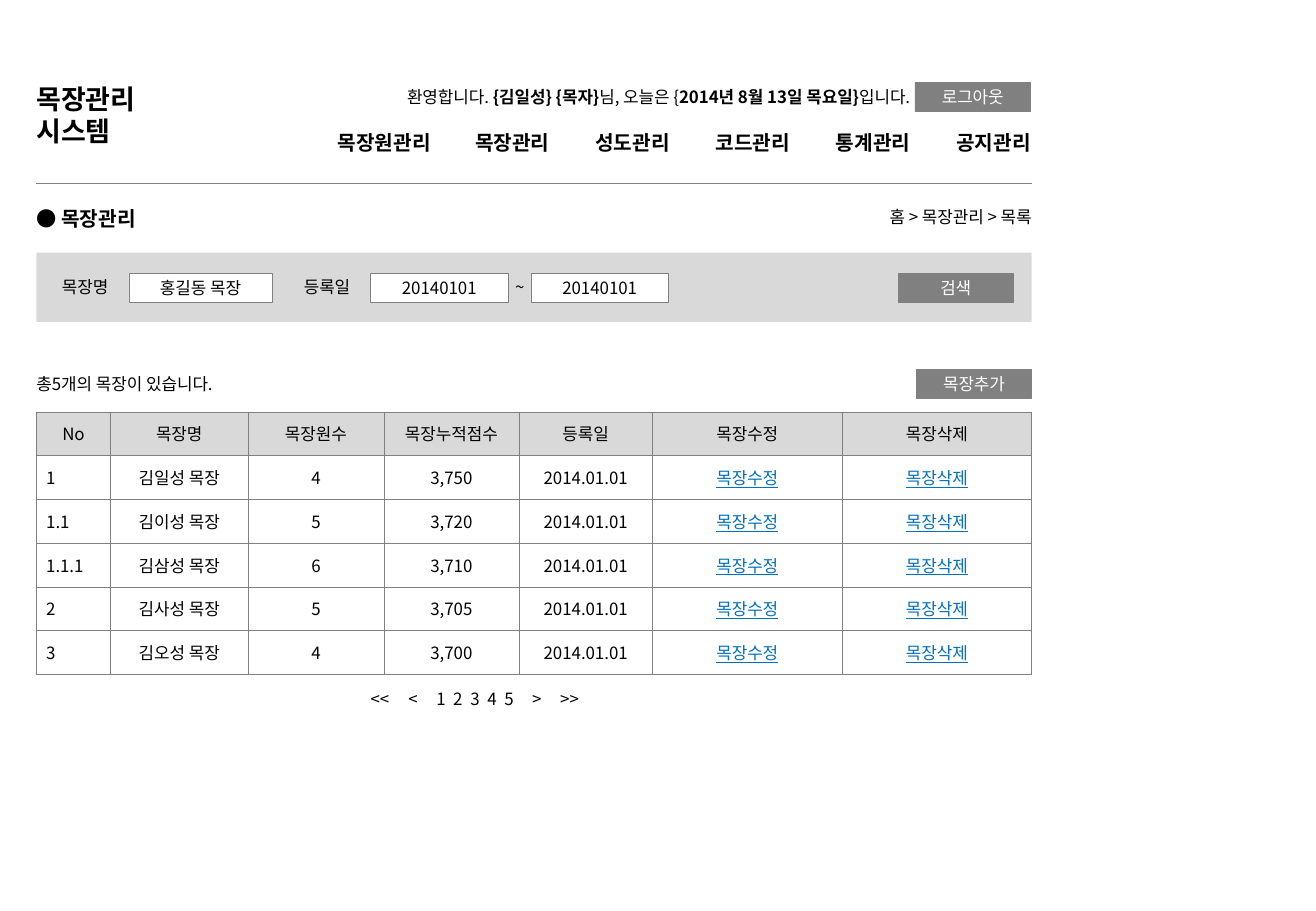
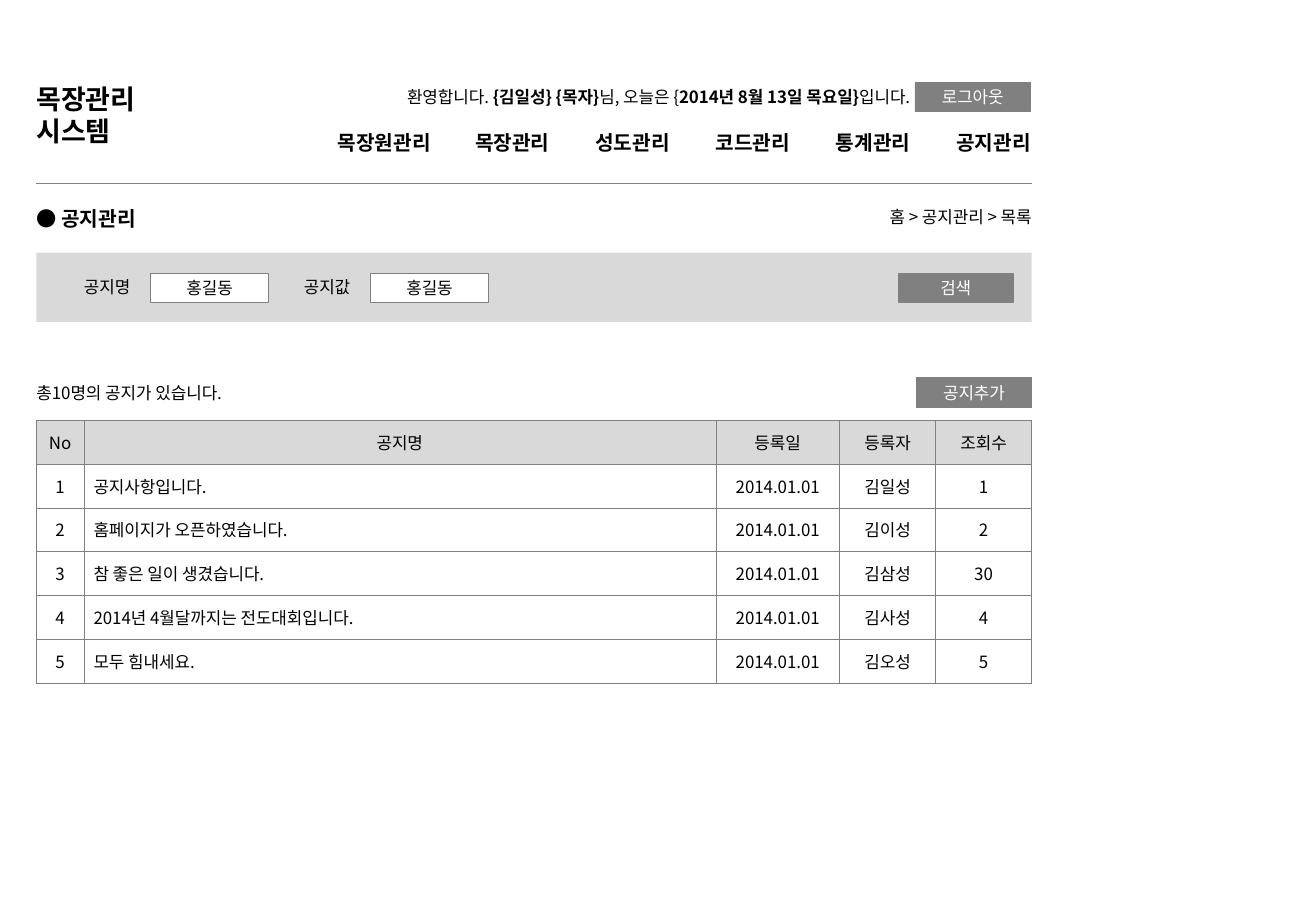
from lxml import etree
from pptx import Presentation
from pptx.dml.color import RGBColor as RGB
from pptx.enum.shapes import MSO_CONNECTOR as LINK, MSO_SHAPE as SHAPE
from pptx.enum.text import MSO_ANCHOR as ANCHOR, MSO_AUTO_SIZE as FIT, PP_ALIGN as ALIGN
from pptx.oxml.ns import qn
from pptx.util import Inches, Pt

FONT = "Noto Sans CJK KR"
HEX = {"ink": "000000", "gray": "808080", "pale": "D9D9D9",
       "white": "FFFFFF", "link": "0070C0"}
LEFT, WIDE, ROW = 0.3, 8.19, 0.36
MENU = ["목장원관리", "목장관리", "성도관리", "코드관리", "통계관리", "공지관리"]
PAGES = ["<<", "<", "1", "2", "3", "4", "5", ">", ">>"]
HELLO = [("환영합니다. ", False), ("{김일성} {목자}", True), ("님, 오늘은 {", False),
         ("2014년 8월 13일 목요일}", True), ("입니다.", False)]
DATE = "2014.01.01"


def color(name):
    return RGB.from_string(HEX[name])


def add_run(para, text, size=10, bold=False, ink="ink", under=False):
    run = para.add_run()
    run.text = text
    font = run.font
    font.name, font.size, font.bold = FONT, Pt(size), bold
    font.underline = under
    font.color.rgb = color(ink)
    east = etree.SubElement(font._element, qn("a:ea"))
    east.set("typeface", FONT)


def set_frame(frame):
    """Clear margins and fitting; return the first paragraph."""
    frame.word_wrap = True
    frame.auto_size = FIT.NONE
    frame.vertical_anchor = ANCHOR.TOP
    frame.margin_left = frame.margin_right = 0
    frame.margin_top = frame.margin_bottom = 0
    return frame.paragraphs[0]


def add_text(slide, text, left, top, width, height=0.17, align=ALIGN.LEFT, **look):
    """Add a box without margins; return its first paragraph."""
    box = slide.shapes.add_textbox(*map(Inches, (left, top, width, height)))
    para = set_frame(box.text_frame)
    para.alignment = align
    if text:
        add_run(para, text, **look)
    return para


def add_tabs(para, words, stops, **look):
    """Write the words in one line, each but the first at a tab stop."""
    tabs = etree.SubElement(para._p.get_or_add_pPr(), qn("a:tabLst"))
    for stop in stops:
        etree.SubElement(tabs, qn("a:tab"), pos=str(Inches(stop)), algn="l")
    add_run(para, "\t".join(words), **look)


def add_rect(slide, left, top, width, height, fill, edge=None):
    rect = slide.shapes.add_shape(SHAPE.RECTANGLE, *map(Inches, (left, top, width, height)))
    rect.shadow.inherit = False
    rect.fill.solid()
    rect.fill.fore_color.rgb = color(fill)
    if edge:
        rect.line.color.rgb = color(edge)
        rect.line.width = Pt(0.25)
    else:
        rect.line.fill.background()
    return rect


def add_box(slide, text, left, top, width=0.95, fill="gray", ink="white"):
    """Add a button, or an entry field when fill and ink say so."""
    frame = add_rect(slide, left, top, width, 0.24, fill, "gray").text_frame
    frame.vertical_anchor = ANCHOR.MIDDLE
    para = frame.paragraphs[0]
    para.alignment = ALIGN.CENTER
    add_run(para, text, ink=ink)


def add_rule(slide, top):
    line = slide.shapes.add_connector(
        LINK.STRAIGHT, *map(Inches, (LEFT, top, LEFT + WIDE, top)))
    line.line.color.rgb = color("gray")
    line.line.width = Pt(0.75)
    etree.SubElement(line._element.spPr, qn("a:effectLst"))


def set_edges(cell):
    props = cell._tc.get_or_add_tcPr()
    for side in ("lnL", "lnR", "lnT", "lnB"):
        edge = etree.SubElement(props, qn(f"a:{side}"), w=str(Pt(0.25)))
        fill = etree.SubElement(edge, qn("a:solidFill"))
        etree.SubElement(fill, qn("a:srgbClr"), val=HEX["gray"])


def set_cell(cell, text, align, head, link):
    cell.margin_left = cell.margin_right = Inches(0.08)
    cell.margin_top = cell.margin_bottom = Inches(0.08)
    set_edges(cell)
    if head:
        cell.fill.solid()
        cell.fill.fore_color.rgb = color("pale")
    else:
        cell.fill.background()
    para = cell.text_frame.paragraphs[0]
    para.alignment = align
    add_run(para, text, ink="link" if link else "ink", under=link)


def add_grid(slide, top, cols, rows, start, links=()):
    """Add the list; column start is left-aligned below its heading."""
    size = map(Inches, (LEFT, top, WIDE, ROW * len(rows)))
    table = slide.shapes.add_table(len(rows), len(cols), *size).table
    table.first_row = table.horz_banding = False
    for col, width in zip(table.columns, cols):
        col.width = Inches(width)
    for r, row in enumerate(rows):
        for c, text in enumerate(row):
            align = ALIGN.LEFT if r and c == start else ALIGN.CENTER
            set_cell(table.cell(r, c), text, align, r == 0, r > 0 and c in links)


def add_head(slide, name):
    title = slide.shapes.title
    title.left, title.top, title.width, title.height = map(Inches, (LEFT, 1.7, 2.13, 0.2))
    para = set_frame(title.text_frame)
    para.alignment = ALIGN.LEFT
    add_run(para, f"● {name}", size=12, bold=True)

    logo = add_text(slide, "목장관리", LEFT, 0.68, 0.88, 0.54, size=16, bold=True)
    add_run(logo._parent.add_paragraph(), "시스템", size=16, bold=True)
    hello = add_text(slide, "", 1.24, 0.71, 6.25, align=ALIGN.RIGHT)
    for text, bold in HELLO:
        add_run(hello, text, bold=bold)
    add_box(slide, "로그아웃", 7.53, 0.68)
    menu = add_text(slide, "", 2.78, 1.07, 5.9, 0.2)
    stops = [1.13 + 0.99 * i for i in range(len(MENU) - 1)]
    add_tabs(menu, MENU, stops, size=12, bold=True)
    add_rule(slide, 1.51)
    add_text(slide, f"홈 > {name} > 목록", 5.47, 1.7, 3.02, align=ALIGN.RIGHT)


def add_search(slide, fields):
    """Add the search band; a field is label, label gap, text, left, width."""
    add_rect(slide, LEFT, 2.08, WIDE, 0.57, "pale")
    for label, gap, text, left, width in fields:
        add_text(slide, label, left - gap, 2.28, min(gap, 0.42))
        add_box(slide, text, left, 2.25, width, "white", "ink")
    add_box(slide, "검색", 7.39, 2.25)


def add_pager(slide, top):
    para = add_text(slide, "", 3.05, top, 2.25)
    digits = [0.54 + 0.14 * i for i in range(5)]
    add_tabs(para, PAGES, [0.31, *digits, 1.33, 1.56])


def add_page(deck, name, fields, count, button, top, **grid):
    slide = deck.slides.add_slide(deck.slide_layouts[5])
    add_head(slide, name)
    add_search(slide, fields)
    add_text(slide, count, LEFT, top - 0.31, 3)
    add_box(slide, button, 7.54, top - 0.35)
    add_grid(slide, top, **grid)
    return slide


def main():
    deck = Presentation()
    deck.slide_width, deck.slide_height = Inches(10.83), Inches(7.5)

    farms = [("1", "김일성", "4", "3,750"), ("1.1", "김이성", "5", "3,720"),
             ("1.1.1", "김삼성", "6", "3,710"), ("2", "김사성", "5", "3,705"),
             ("3", "김오성", "4", "3,700")]
    rows = [("No", "목장명", "목장원수", "목장누적점수", "등록일", "목장수정", "목장삭제")]
    rows += [(no, f"{who} 목장", size, score, DATE, "목장수정", "목장삭제")
             for no, who, size, score in farms]
    top = 3.39
    slide = add_page(
        deck, "목장관리",
        [("목장명", 0.55, "홍길동 목장", 1.06, 1.18),
         ("등록일", 0.55, "20140101", 3.05, 1.13),
         ("~", 0.13, "20140101", 4.37, 1.13)],
        "총5개의 목장이 있습니다.", "목장추가", top,
        cols=[0.61, 1.13, 1.12, 1.11, 1.1, 1.56, 1.56], rows=rows, start=0, links=(5, 6))
    add_pager(slide, top + ROW * len(rows) + 0.12)

    news = [("공지사항입니다.", "김일성", "1"), ("홈페이지가 오픈하였습니다.", "김이성", "2"),
            ("참 좋은 일이 생겼습니다.", "김삼성", "30"),
            ("2014년 4월달까지는 전도대회입니다.", "김사성", "4"),
            ("모두 힘내세요.", "김오성", "5")]
    rows = [("No", "공지명", "등록일", "등록자", "조회수")]
    rows += [(str(no), text, DATE, who, views)
             for no, (text, who, views) in enumerate(news, 1)]
    add_page(
        deck, "공지관리",
        [("공지명", 0.55, "홍길동", 1.24, 0.97), ("공지값", 0.55, "홍길동", 3.05, 0.97)],
        "총10명의 공지가 있습니다.", "공지추가", 3.46,
        cols=[0.39, 5.2, 1.02, 0.79, 0.79], rows=rows, start=1)
    deck.save("out.pptx")


if __name__ == "__main__":
    main()
